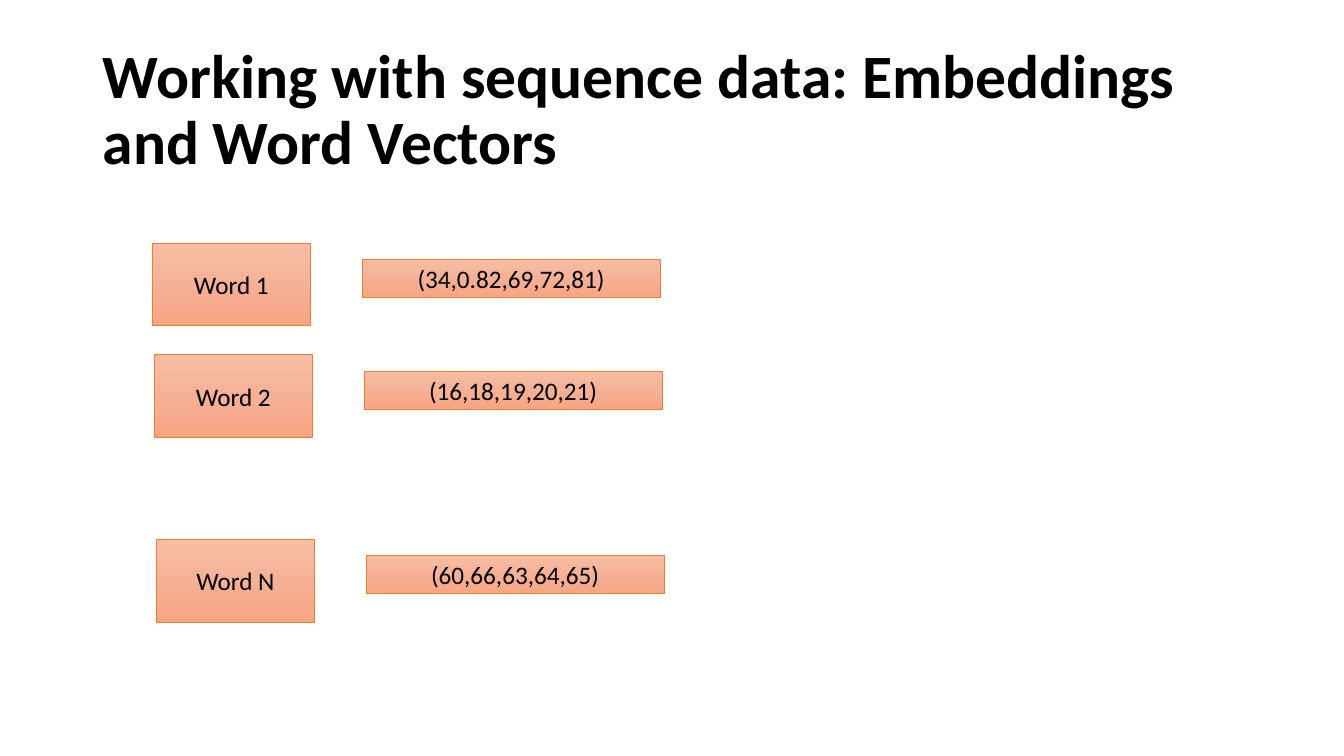
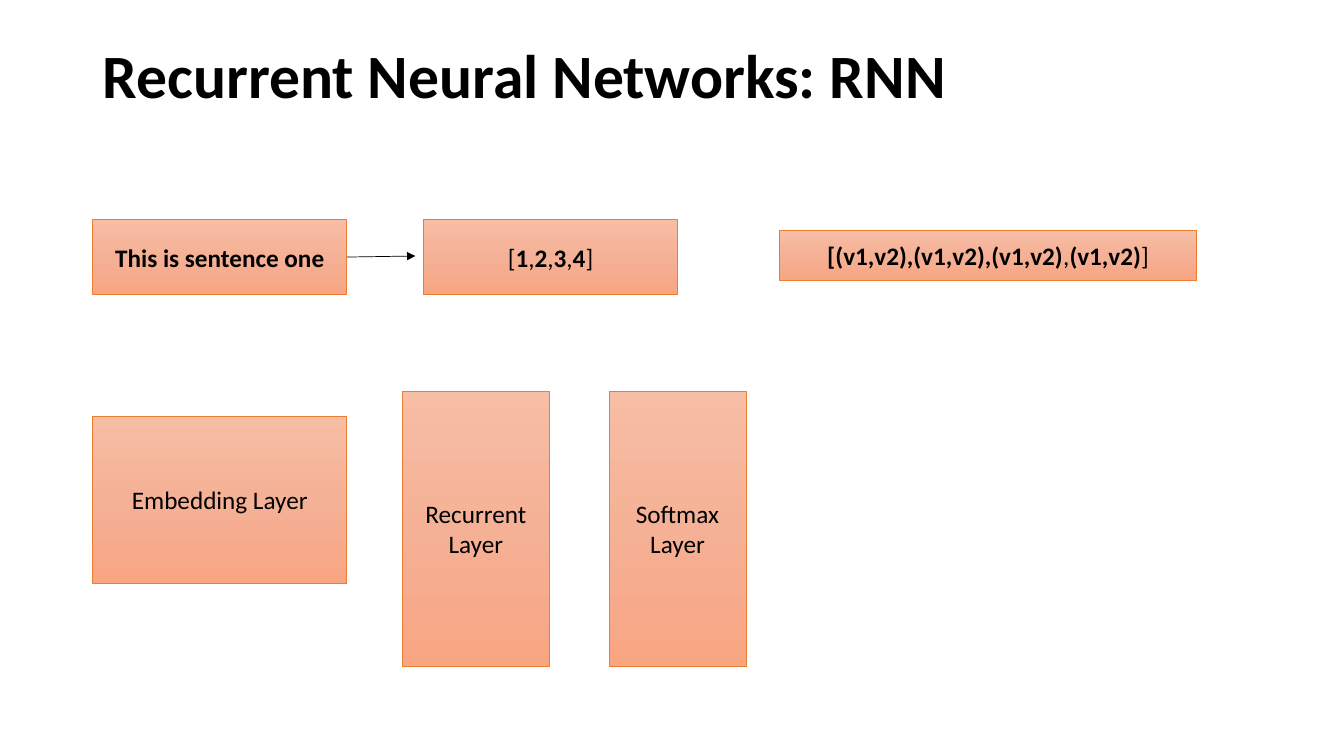
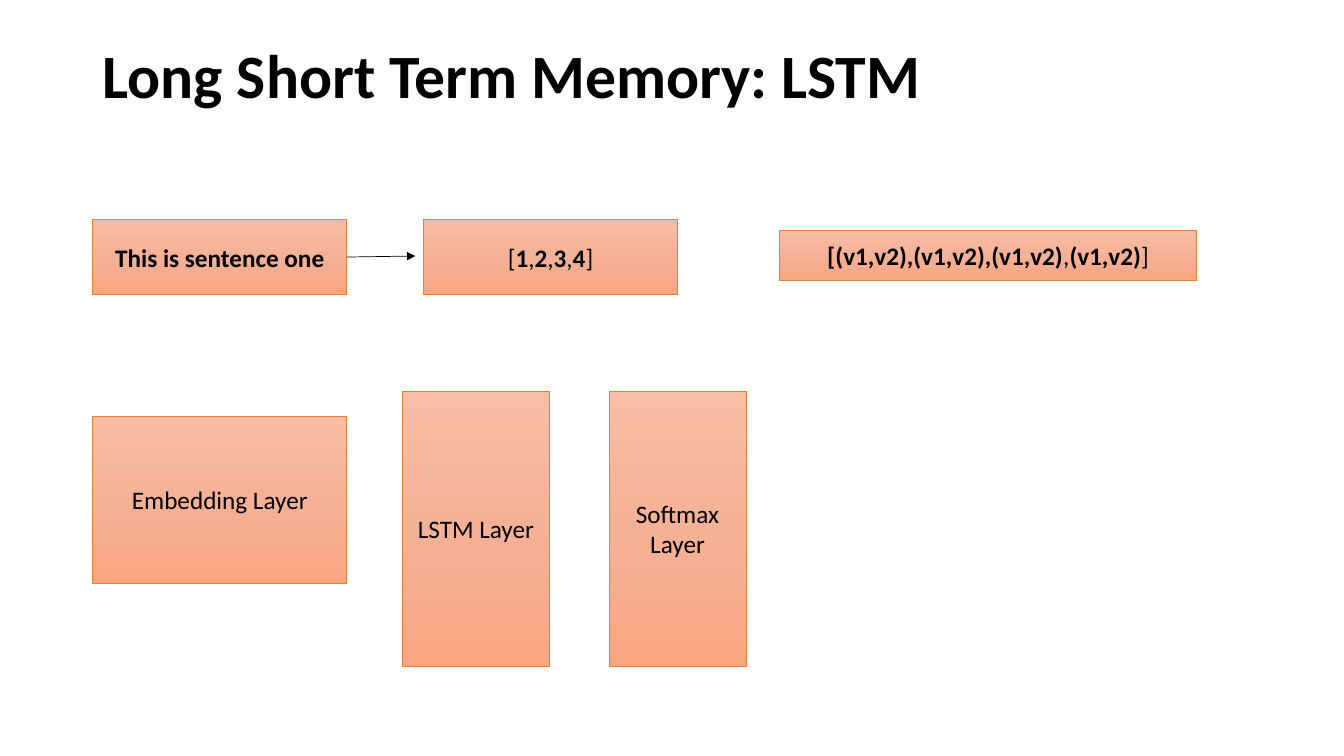
"""Build three slides on word vectors and recurrent networks."""
from copy import deepcopy
from dataclasses import dataclass

from lxml import etree
from pptx import Presentation
from pptx.dml.color import RGBColor
from pptx.enum import shapes, text as text_enum
from pptx.oxml import ns
from pptx.util import Inches, Pt


@dataclass(frozen=True)
class Theme:
    """Colours, font and type sizes of the deck."""
    font: str = "Calibri"
    ink: str = "000000"
    outline: str = "ED7D31"
    gradient: tuple = ((0, "F7BDA5"), (0.5, "F5B196"), (1, "F8A582"))
    title_size: int = 44
    body_size: int = 18
    line_width: float = 0.5


THEME = Theme()


def write_text(frame, content, *, size, align, anchor, spacing=None):
    """Write one paragraph per line, with bold text between asterisks."""
    frame.word_wrap = True
    frame.vertical_anchor = anchor
    for number, line in enumerate(content.split("\n")):
        para = frame.add_paragraph() if number else frame.paragraphs[0]
        para.alignment = align
        para.line_spacing = spacing
        for index, part in enumerate(line.split("*")):
            if part:
                span = para.add_run()
                span.text = part
                span.font.name = THEME.font
                span.font.size = Pt(size)
                span.font.bold = index % 2 == 1
                span.font.color.rgb = RGBColor.from_string(THEME.ink)


def set_line(line, colour):
    """Give an outline or connector its colour and the shared width."""
    line.color.rgb = RGBColor.from_string(colour)
    line.width = Pt(THEME.line_width)


def fill_gradient(box):
    """Fill a box from top to bottom with the theme gradient."""
    box.fill.gradient()
    box.fill.gradient_angle = 270
    stop_list = box._element.spPr.find(".//" + ns.qn("a:gsLst"))
    stop_list.append(deepcopy(stop_list[0]))
    for stop, (position, colour) in zip(box.fill.gradient_stops, THEME.gradient):
        stop.position = position
        stop.color.rgb = RGBColor.from_string(colour)


def add_page(deck, title, title_height=1.09):
    """Add a blank page with its title."""
    page = deck.slides.add_slide(deck.slide_layouts[6])
    box = page.shapes.add_textbox(
        Inches(0.92), Inches(0.4), Inches(11.5), Inches(title_height))
    write_text(box.text_frame, f"*{title}*", size=THEME.title_size,
               align=text_enum.PP_ALIGN.LEFT, anchor=text_enum.MSO_ANCHOR.TOP,
               spacing=0.9)
    return page


def add_box(page, content, left, top, width, height):
    """Add a gradient box with centred text."""
    box = page.shapes.add_shape(
        shapes.MSO_SHAPE.RECTANGLE,
        Inches(left), Inches(top), Inches(width), Inches(height))
    box.shadow.inherit = False
    fill_gradient(box)
    set_line(box.line, THEME.outline)
    write_text(box.text_frame, content, size=THEME.body_size,
               align=text_enum.PP_ALIGN.CENTER,
               anchor=text_enum.MSO_ANCHOR.MIDDLE)
    return box


def add_arrow(page, source, end_x, end_y):
    """Draw an arrow from the right side of a box to a point."""
    arrow = page.shapes.add_connector(
        shapes.MSO_CONNECTOR.STRAIGHT, source.left + source.width,
        source.top + source.height // 2, Inches(end_x), Inches(end_y))
    arrow.begin_connect(source, 3)
    set_line(arrow.line, THEME.ink)
    outline = arrow.line._get_or_add_ln()
    etree.SubElement(outline, ns.qn("a:tailEnd"), type="triangle")
    etree.SubElement(arrow._element.spPr, ns.qn("a:effectLst"))


def add_vectors_page(deck):
    """Show words beside their vectors."""
    page = add_page(deck, "Working with sequence data: Embeddings and Word Vectors", 1.46)
    rows = (
        ("Word 1", "(34,0.82,69,72,81)", 2.41),
        ("Word 2", "(16,18,19,20,21)", 3.52),
        ("Word N", "(60,66,63,64,65)", 5.35),
    )
    for number, (word, vector, top) in enumerate(rows):
        left = 1.51 + 0.02 * number
        add_box(page, word, left, top, 1.57, 0.82)
        add_box(page, vector, left + 2.08, top + 0.16, 2.96, 0.38)


def add_network_page(deck, title, middle_layer):
    """Show a sentence being encoded, above the layers of a network."""
    page = add_page(deck, title)
    sentence = add_box(page, "*This is sentence one*", 0.92, 2.18, 2.52, 0.74)
    add_arrow(page, sentence, 4.12, 2.54)
    add_box(page, "[*1*,*2*,*3*,*4*]", 4.2, 2.18, 2.52, 0.74)
    add_box(page, "*[(v1,v2),(v1,v2),(v1,v2)*,*(v1,v2)*]", 7.73, 2.29, 4.14, 0.49)
    add_box(page, "Embedding Layer", 0.92, 4.13, 2.52, 1.66)
    add_box(page, middle_layer, 3.99, 3.88, 1.46, 2.73)
    add_box(page, "Softmax\nLayer", 6.04, 3.88, 1.36, 2.73)


def main():
    """Build and save the deck."""
    deck = Presentation()
    deck.slide_width = Inches(13.33)
    deck.slide_height = Inches(7.5)
    add_vectors_page(deck)
    add_network_page(deck, "Recurrent Neural Networks: RNN", "Recurrent Layer")
    add_network_page(deck, "Long Short Term Memory: LSTM", "LSTM Layer")
    deck.save("out.pptx")


if __name__ == "__main__":
    main()
